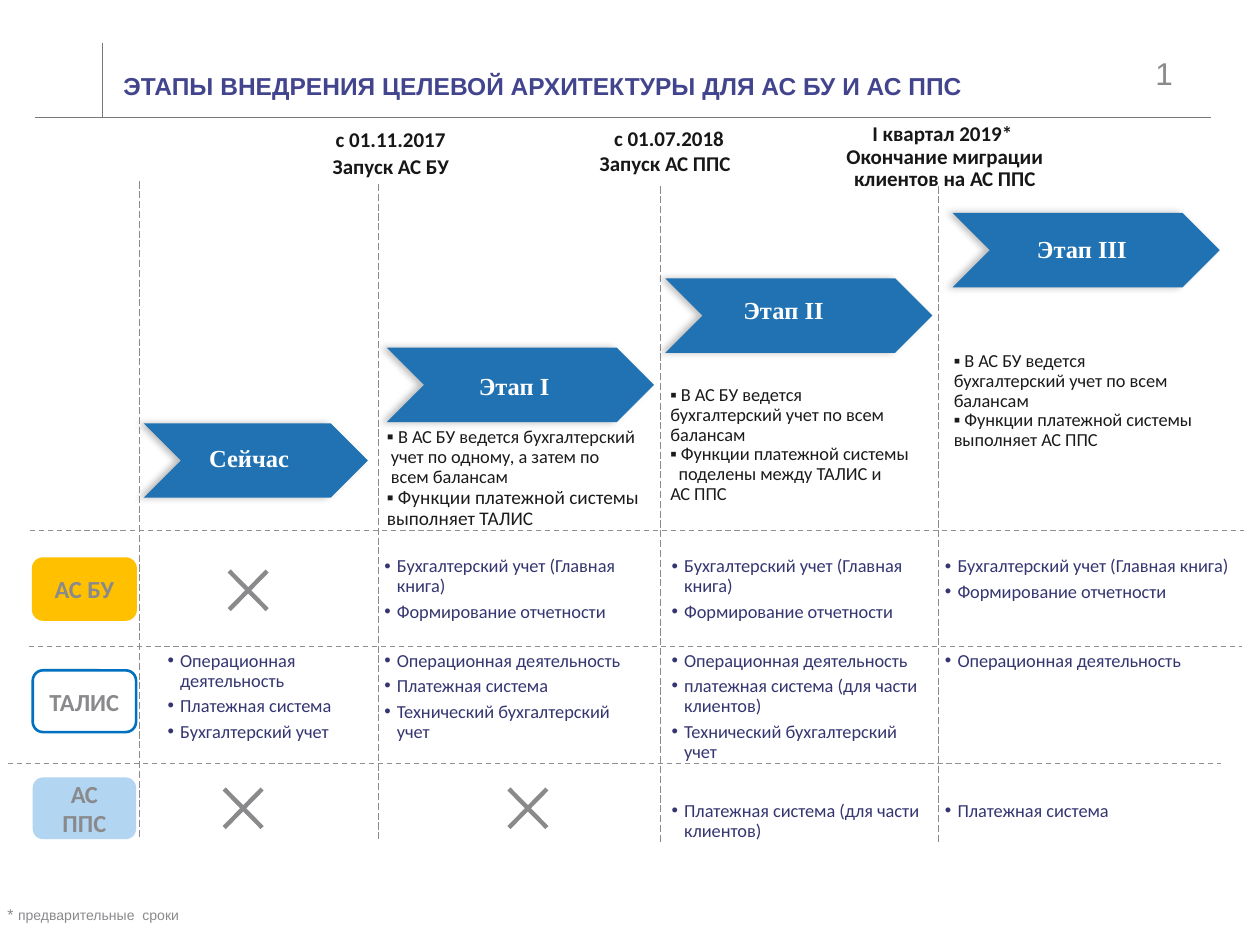
"""Build the slide on the stages of moving to the target architecture."""
from lxml.etree import SubElement
from pptx import Presentation
from pptx.dml.color import RGBColor
from pptx.enum.dml import MSO_LINE
from pptx.enum.shapes import MSO_CONNECTOR, MSO_SHAPE
from pptx.enum.text import MSO_ANCHOR, PP_ALIGN
from pptx.oxml.ns import qn
from pptx.util import Inches, Pt

COLORS = {"title": "42448E", "ink": "181717", "note": "1B1B1B", "cell": "353671",
          "gray": "8A8A8D", "foot": "8B898C", "rule": "77777A", "dash": "909090",
          "stage": "2172B2", "white": "FFFFFF", "amber": "FFC000", "blue": "0070C0",
          "sky": "B2D5F1"}
FORMATS = {
    "title": {"name": "Arial", "size": Pt(14), "bold": True},
    "number": {"name": "Arial", "size": Pt(18), "bold": False},
    "stage": {"name": "Times New Roman", "size": Pt(14), "bold": True},
    "date": {"name": "Calibri", "size": Pt(12), "bold": True},
    "note": {"name": "Calibri", "size": Pt(10.5), "bold": False},
    "system": {"name": "Calibri", "size": Pt(14), "bold": True},
    "foot": {"name": "Arial", "size": Pt(8), "bold": False},
}
FRAME = {"word_wrap": True, "margin_left": 0, "margin_top": 0,
         "margin_right": 0, "margin_bottom": 0}
LEGACY = "ТАЛИС"

deck = Presentation()
deck.slide_width, deck.slide_height = Inches(10), Inches(7.5)
page = deck.slides.add_slide(deck.slide_layouts[5])
COLUMN, ROW = deck.slide_width / 100, deck.slide_height / 75


def grid(*values):
    """Turn alternating column and row counts into lengths."""
    return [round(value * (ROW if index % 2 else COLUMN)) for index, value in enumerate(values)]


def write(frame, lines, style, color, **layout):
    """Write one paragraph a line; a line is a string or (text, size) pairs."""
    for index, line in enumerate(lines):
        para = frame.paragraphs[0] if index == 0 else frame.add_paragraph()
        for name, value in {"line_spacing": 0.9, **layout}.items():
            setattr(para, name, value)
        for text, size in [(line, None)] if isinstance(line, str) else line:
            span = para.add_run()
            span.text = text
            for name, value in FORMATS[style].items():
                setattr(span.font, name, value)
            span.font.size = Pt(size) if size else span.font.size
            span.font.color.rgb = RGBColor.from_string(COLORS[color])


title = page.shapes.title
title.left, title.top, title.width, title.height = grid(9.8, 4.5, 80.9, 3.5)
for name, value in {**FRAME, "vertical_anchor": MSO_ANCHOR.MIDDLE}.items():
    setattr(title.text_frame, name, value)
write(title.text_frame, ["ЭТАПЫ ВНЕДРЕНИЯ ЦЕЛЕВОЙ АРХИТЕКТУРЫ ДЛЯ АС БУ И АС ППС"],
      "title", "title", line_spacing=1.5, alignment=PP_ALIGN.LEFT)

ledger = ["Бухгалтерский учет (Главная книга)", "Формирование отчетности"]
operations, payments = "Операционная деятельность", "Платежная система"
technical = "Технический бухгалтерский учет"
partial = "(для части клиентов)"
bands = [
    (41.5, 9, 2.7, [[], [], ledger, ledger, ledger]),
    (51.2, 8.2, 0.5, [[], [operations, payments, "Бухгалтерский учет"],
                      [operations, payments, technical],
                      [operations, f"платежная система {partial}", technical], [operations]]),
    (60.9, 8.1, 2.7, [[], [], [], [f"{payments} {partial}"], [payments]]),
]
for top, height, margin, cells in bands:
    table = page.shapes.add_table(1, 5, *grid(3, top, 95.6, height)).table
    table.first_row = table.horz_banding = False
    table._tbl.tblPr.find(qn("a:tableStyleId")).text = "{2D5ABB26-0587-4C30-8999-92F81FD0307C}"
    for index, (width, lines) in enumerate(zip((9.3, 17.2, 22.8, 21.7, 24.6), cells)):
        table.columns[index].width = round(width * COLUMN)
        cell = table.cell(0, index)
        cell.fill.background()
        cell.margin_top = round(margin * ROW)
        write(cell.text_frame, lines, "note", "cell", space_after=Pt(3))
        for para in cell.text_frame.paragraphs if lines else []:
            properties = para._p.get_or_add_pPr()
            properties.set("marL", str(round(COLUMN)))
            properties.set("indent", str(-round(COLUMN)))
            SubElement(properties, qn("a:buFont")).set("typeface", "Arial")
            SubElement(properties, qn("a:buChar")).set("char", "•")

verticals = [((x, top, x, top + 52), "foot", 0.5, MSO_LINE.LONG_DASH)
             for x, top in ((11.1, 14.4), (30, 14.6), (52.4, 14.8), (74.5, 14.8))]
horizontals = [((x, y, x + 96.3, y), "dash", 0.75, MSO_LINE.DASH)
               for x, y in ((2.4, 42.1), (2.3, 51.3), (0.6, 60.6))]
rules = [((2.8, 9.3, 96.1, 9.3), "rule", 0.25, None), ((8.1, 3.4, 8.1, 9.3), "rule", 0.25, None)]
for ends, color, width, dash in rules + verticals + horizontals:
    line = page.shapes.add_connector(MSO_CONNECTOR.STRAIGHT, *grid(*ends))
    line.line.color.rgb = RGBColor.from_string(COLORS[color])
    line.line.width = Pt(width)
    line.line.dash_style = dash
    SubElement(line._element.spPr, qn("a:effectLst"))

stages = [("Сейчас", 11.4, 33.6, 17.8, 16.6, 35.4), ("Этап I", 30.7, 27.6, 21.2, 38, 29.7),
          ("Этап II", 52.8, 22.1, 21.2, 59, 23.7), ("Этап III", 75.6, 16.9, 21.2, 82.3, 18.8)]
labels = []
for text, left, top, width, text_left, text_top in stages:
    arrow = page.shapes.add_shape(MSO_SHAPE.CHEVRON, *grid(left, top, width, 5.9))
    arrow.fill.solid()
    arrow.fill.fore_color.rgb = RGBColor.from_string(COLORS["stage"])
    arrow.line.fill.background()
    effects = SubElement(arrow._element.spPr, qn("a:effectLst"))
    shadow = SubElement(effects, qn("a:outerShdw"), blurRad=str(Pt(4)), dist=str(Pt(3)),
                        dir="10800000", algn="ctr", rotWithShape="0")
    tint = SubElement(shadow, qn("a:srgbClr"), val=COLORS["ink"])
    SubElement(tint, qn("a:alpha"), val="28000")
    labels.append(((text_left, text_top, 10, 2.5), [text], "stage", "white", {}))

centered = {"alignment": PP_ALIGN.CENTER}
functions = "▪ Функции платежной системы"
all_balances = ["▪ В АС БУ ведется", "бухгалтерский учет по всем", "балансам"]
labels += [
    ((21.9, 10.3, 18.2, 2.1), ["с 01.11.2017"], "date", "ink", centered),
    ((44, 10.2, 18.2, 2.1), ["с 01.07.2018"], "date", "ink", centered),
    ((65.7, 9.8, 18.2, 2.1), ["I квартал 2019*"], "date", "ink", centered),
    ((26.4, 12.4, 14.8, 2.1), ["Запуск АС БУ"], "date", "ink", {}),
    ((47.6, 12.2, 12.2, 2.3), ["Запуск АС ППС"], "date", "ink", {}),
    ((67.1, 11.6, 15.8, 3.5), ["Окончание миграции клиентов на АС ППС"], "date", "ink", centered),
    ((30.7, 33.9, 22.5, 8.2),
     [[("▪ ", 11), ("В АС БУ ведется бухгалтерский", 10.5)], " учет по одному, а затем по",
      " всем балансам", [(functions, 11)], [(f"выполняет {LEGACY}", 11)]], "note", "note", {}),
    ((53.2, 30.6, 21.1, 11.3),
     all_balances + [functions, f"  поделены между {LEGACY} и", "АС ППС"], "note", "note", {}),
    ((75.7, 27.9, 24.3, 8),
     all_balances + [f"{functions} выполняет АС ППС"], "note", "note", {}),
    ((91.7, 4.3, 4, 4), ["1"], "number", "gray", {"line_spacing": 1}),
    ((0.6, 72, 32.7, 2.3), [[("* ", 9), ("предварительные  сроки", 8)]], "foot", "foot", {}),
]
for place, lines, style, color, layout in labels:
    box = page.shapes.add_textbox(*grid(*place))
    for name, value in FRAME.items():
        setattr(box.text_frame, name, value)
    write(box.text_frame, lines, style, color, **layout)

for left, top in ((16.8, 43.9), (16.4, 61.2), (39, 61.2)):
    cross = page.shapes.add_shape(MSO_SHAPE.MATH_MULTIPLY, *grid(left, top, 5.8, 5.9))
    cross.adjustments[0] = 0.06
    cross.shadow.inherit = False
    cross.fill.solid()
    cross.fill.fore_color.rgb = RGBColor.from_string(COLORS["gray"])
    cross.line.fill.background()

for text, top, fill, outline, width in (("АС БУ", 44.3, "amber", "amber", 1),
                                        (LEGACY, 53.2, "white", "blue", 1.5),
                                        ("АС ППС", 61.7, "sky", "sky", 0)):
    system = page.shapes.add_shape(MSO_SHAPE.ROUNDED_RECTANGLE, *grid(2.6, top, 8.2, 4.9))
    system.shadow.inherit = False
    system.fill.solid()
    system.fill.fore_color.rgb = RGBColor.from_string(COLORS[fill])
    if width:
        system.line.color.rgb = RGBColor.from_string(COLORS[outline])
        system.line.width = Pt(width)
    else:
        system.line.fill.background()
    system.text_frame.vertical_anchor = MSO_ANCHOR.MIDDLE
    write(system.text_frame, [text], "system", "gray", line_spacing=1, **centered)

deck.save("out.pptx")
